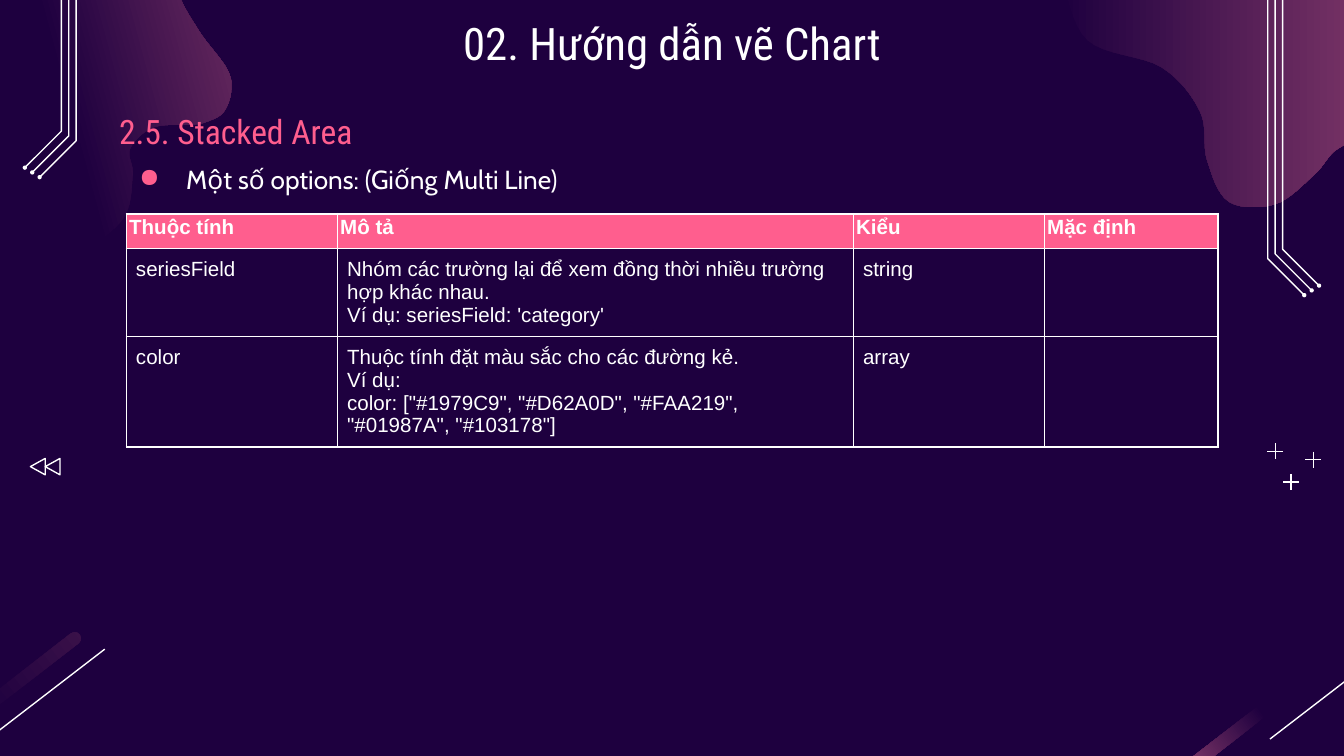
from lxml.etree import SubElement
from pptx import Presentation
from pptx.dml.color import RGBColor
from pptx.enum.shapes import MSO_CONNECTOR, MSO_SHAPE
from pptx.enum.text import MSO_ANCHOR as Anchor, MSO_AUTO_SIZE as AutoSize, PP_ALIGN as Align
from pptx.oxml.ns import qn
from pptx.util import Cm, Pt

THEME = {
    "night": "1E003F", "plum": "A64D79", "dusk": "3A1149", "pink": "FF5E8E", "white": "FFFFFF",
    "heading": "Roboto Condensed", "body": "Cabin", "grid": "Arial",
    "title_size": 24, "section_size": 18, "option_size": 14, "grid_size": 11, "stroke": 0.75,
}

TITLE = "02. Hướng dẫn vẽ Chart"
SECTION = "2.5. Stacked Area"
OPTION = "Một số options: (Giống Multi Line)"
OPTIONS = [
    [["Thuộc tính"], ["Mô tả"], ["Kiểu"], ["Mặc định"]],
    [["seriesField"],
     ["Nhóm các trường lại để xem đồng thời nhiều trường hợp khác nhau.",
      "Ví dụ: seriesField: 'category'"],
     ["string"], []],
    [["color"],
     ["Thuộc tính đặt màu sắc cho các đường kẻ.", "Ví dụ:",
      'color: ["#1979C9", "#D62A0D", "#FAA219", "#01987A", "#103178"]'],
     ["array"], []],
]
COLUMN_WIDTHS = [3.99, 9.75, 3.61, 3.28]
ROW_HEIGHTS = [0.66, 1.65, 2.08]

LEFT_BLOB = [
    (1.22, 4.83), (2.29, 4.19), (2.51, 3.33), (2.46, 2.82), (2.9, 2.41), (3.61, 2.36),
    (3.89, 2.31), (4.22, 2.13), (4.37, 1.73), (4.29, 1.3), (3.76, 0.58), (3.38, -0.18),
    (3.63, -0.79), (4.04, -0.99), (4.83, -1.04), (5.79, -1.09), (6.4, -1.47), (6.55, -2.21),
    (5.92, -3.4), (4.24, -3.84), (1.78, -2.41), (1.37, -2.29), (-1.19, -2.08), (-2.31, -1.88),
    (-3.25, -1.55), (-4.42, -0.76), (-4.93, 0.56), (-3.96, 2.03), (-2.24, 2.51),
    (-1.17, 2.69), (-0.33, 3.38), (-0.08, 4.22),
]
RIGHT_BLOB = [
    (28.58, 0.97), (28.07, -0.89), (26.87, -1.96), (25.12, -2.13), (23.6, -2.87),
    (22.78, -3.58), (21.64, -3.63), (20.8, -3.28), (20.14, -1.98), (20.04, -0.97),
    (20.07, -0.46), (20.55, 0.76), (21.95, 1.27), (22.68, 2.11), (22.81, 3.02),
    (23.22, 3.81), (24.1, 3.86), (24.84, 3.3), (25.27, 2.82), (25.86, 2.69),
    (26.72, 3.51), (28.37, 2.24),
]
CIRCUITS = [(1.44, 2.66, -1), (23.96, 4.89, 1)]
PLUSES = [(24.4, 9.11), (24.82, 8.69), (24.1, 8.53)]
REWIND_LEFTS = [0.56, 0.84]
STREAKS = [(-0.36, 0, "dusk"), (23.85, 180, "plum")]
SLASH_LEFTS = [-0.23, 24.0]


def colour(name):
    return RGBColor.from_string(THEME[name])


def smooth_outline(anchors, steps=8):
    count = len(anchors)
    outline = []
    for i in range(count):
        a, b, c, d = (anchors[(i + k) % count] for k in (-1, 0, 1, 2))
        for t in (s / steps for s in range(steps)):
            outline.append(tuple(
                0.5 * (2 * q + (r - p) * t + (2 * p - 5 * q + 4 * r - s) * t ** 2
                       + (3 * q - p - 3 * r + s) * t ** 3)
                for p, q, r, s in zip(a, b, c, d)))
    return outline


def add_outline(slide, points, closed):
    corners = [(Cm(x), Cm(y)) for x, y in points]
    builder = slide.shapes.build_freeform(*corners[0])
    builder.add_line_segments(corners[1:], close=closed)
    outline = builder.convert_to_shape()
    outline.shadow.inherit = False
    return outline


def add_preset(slide, preset, left, top, width, height):
    preset_shape = slide.shapes.add_shape(preset, Cm(left), Cm(top), Cm(width), Cm(height))
    preset_shape.shadow.inherit = False
    return preset_shape


def stroke(target):
    target.line.color.rgb = colour("white")
    target.line.width = Pt(THEME["stroke"])


def add_line(slide, x1, y1, x2, y2):
    line = slide.shapes.add_connector(MSO_CONNECTOR.STRAIGHT, Cm(x1), Cm(y1), Cm(x2), Cm(y2))
    stroke(line)
    SubElement(line._element.spPr, qn("a:effectLst"))


def fade(target, angle, start, end="plum"):
    target.fill.gradient()
    target.fill.gradient_angle = angle
    for stop, position, name in zip(target.fill.gradient_stops, (start, 1), ("night", end)):
        stop.position = position
        stop.color.rgb = colour(name)
    target.line.fill.background()


def add_decorations(slide):
    for anchors, angle, start in ((LEFT_BLOB, 15, 0.5), (RIGHT_BLOB, 0, 0)):
        fade(add_outline(slide, smooth_outline(anchors), True), angle, start)
    for center, angle, end in STREAKS:
        streak = add_preset(slide, MSO_SHAPE.ROUNDED_RECTANGLE, center - 2.36, 13.32, 4.72, 0.24)
        streak.adjustments[0] = 0.5
        streak.rotation = -37.8
        fade(streak, angle, 0.5, end)
    for left in SLASH_LEFTS:
        add_line(slide, left, 13.97, left + 2.21, 12.27)
    for outer, bend, side in CIRCUITS:
        for i in range(3):
            x, y = outer + side * 0.14 * i, bend - 0.09 * i
            end_x, end_y = x + side * 0.69, y + 0.69
            wire = add_outline(slide, [(x, 0), (x, y), (end_x, end_y)], False)
            wire.fill.background()
            stroke(wire)
            node = add_preset(slide, MSO_SHAPE.OVAL, end_x - 0.04, end_y - 0.04, 0.08, 0.08)
            node.fill.solid()
            node.fill.fore_color.rgb = colour("white")
            node.line.fill.background()
    for x, y in PLUSES:
        add_line(slide, x - 0.15, y, x + 0.15, y)
        add_line(slide, x, y - 0.15, x, y + 0.15)
    for left in REWIND_LEFTS:
        arrow = add_preset(slide, MSO_SHAPE.ISOSCELES_TRIANGLE, left, 8.68, 0.31, 0.28)
        arrow.rotation = 270
        arrow.fill.background()
        stroke(arrow)


def add_text(paragraph, words, face, size, ink, bold=False):
    run = paragraph.add_run()
    run.text = words
    run.font.name = THEME[face]
    run.font.size = Pt(THEME[size])
    run.font.color.rgb = colour(ink)
    run.font.bold = bold


def set_frame(box, anchor):
    frame = box.text_frame
    frame.word_wrap = True
    frame.auto_size = AutoSize.NONE
    frame.vertical_anchor = anchor
    frame.margin_left = frame.margin_right = frame.margin_top = frame.margin_bottom = Cm(0.25)
    return frame.paragraphs[0]


def add_headings(slide):
    title = slide.shapes.title
    title.left, title.top, title.width, title.height = Cm(2), Cm(0), Cm(21.4), Cm(1.6)
    heading = set_frame(title, Anchor.MIDDLE)
    heading.alignment = Align.CENTER
    add_text(heading, TITLE, "heading", "title_size", "white")

    section = set_frame(slide.shapes.add_textbox(Cm(2), Cm(1.96), Cm(17.83), Cm(1.14)), Anchor.BOTTOM)
    section.line_spacing = 1.15
    section.space_after = Pt(12)
    add_text(section, SECTION, "heading", "section_size", "pink")

    option = set_frame(slide.shapes.add_textbox(Cm(2), Cm(2.54), Cm(20.62), Cm(1.27)), Anchor.TOP)
    properties = option._p.get_or_add_pPr()
    properties.set("marL", str(Cm(1.27)))
    properties.set("indent", str(-Cm(0.89)))
    SubElement(SubElement(properties, qn("a:buClr")), qn("a:srgbClr"), val=THEME["pink"])
    SubElement(properties, qn("a:buChar"), char="●")
    option.line_spacing = 1.5
    add_text(option, OPTION, "body", "option_size", "white")


def add_borders(cell):
    properties = cell._tc.get_or_add_tcPr()
    for side in ("lnL", "lnR", "lnT", "lnB"):
        edge = SubElement(properties, qn("a:" + side), w=str(Pt(1)))
        SubElement(SubElement(edge, qn("a:solidFill")), qn("a:srgbClr"), val=THEME["white"])


def add_options(slide):
    table = slide.shapes.add_table(len(OPTIONS), len(COLUMN_WIDTHS), Cm(2.39), Cm(4.04),
                                   Cm(sum(COLUMN_WIDTHS)), Cm(sum(ROW_HEIGHTS))).table
    table.horz_banding = False
    for column, width in zip(table.columns, COLUMN_WIDTHS):
        column.width = Cm(width)
    for r, (row, height) in enumerate(zip(OPTIONS, ROW_HEIGHTS)):
        table.rows[r].height = Cm(height)
        header = r == 0
        for c, lines in enumerate(row):
            cell = table.cell(r, c)
            add_borders(cell)
            if header:
                cell.fill.solid()
                cell.fill.fore_color.rgb = colour("pink")
            else:
                cell.fill.background()
            margin = Cm(0.05 if header else 0.18)
            cell.margin_left = cell.margin_right = cell.margin_top = cell.margin_bottom = margin
            for i, line in enumerate(lines):
                frame = cell.text_frame
                paragraph = frame.add_paragraph() if i else frame.paragraphs[0]
                add_text(paragraph, line, "grid", "grid_size", "white", header)


def main():
    deck = Presentation()
    deck.slide_width, deck.slide_height = Cm(25.4), Cm(14.29)
    slide = deck.slides.add_slide(deck.slide_layouts[5])
    slide.background.fill.solid()
    slide.background.fill.fore_color.rgb = colour("night")
    add_decorations(slide)
    add_headings(slide)
    add_options(slide)
    deck.save("out.pptx")


if __name__ == "__main__":
    main()
